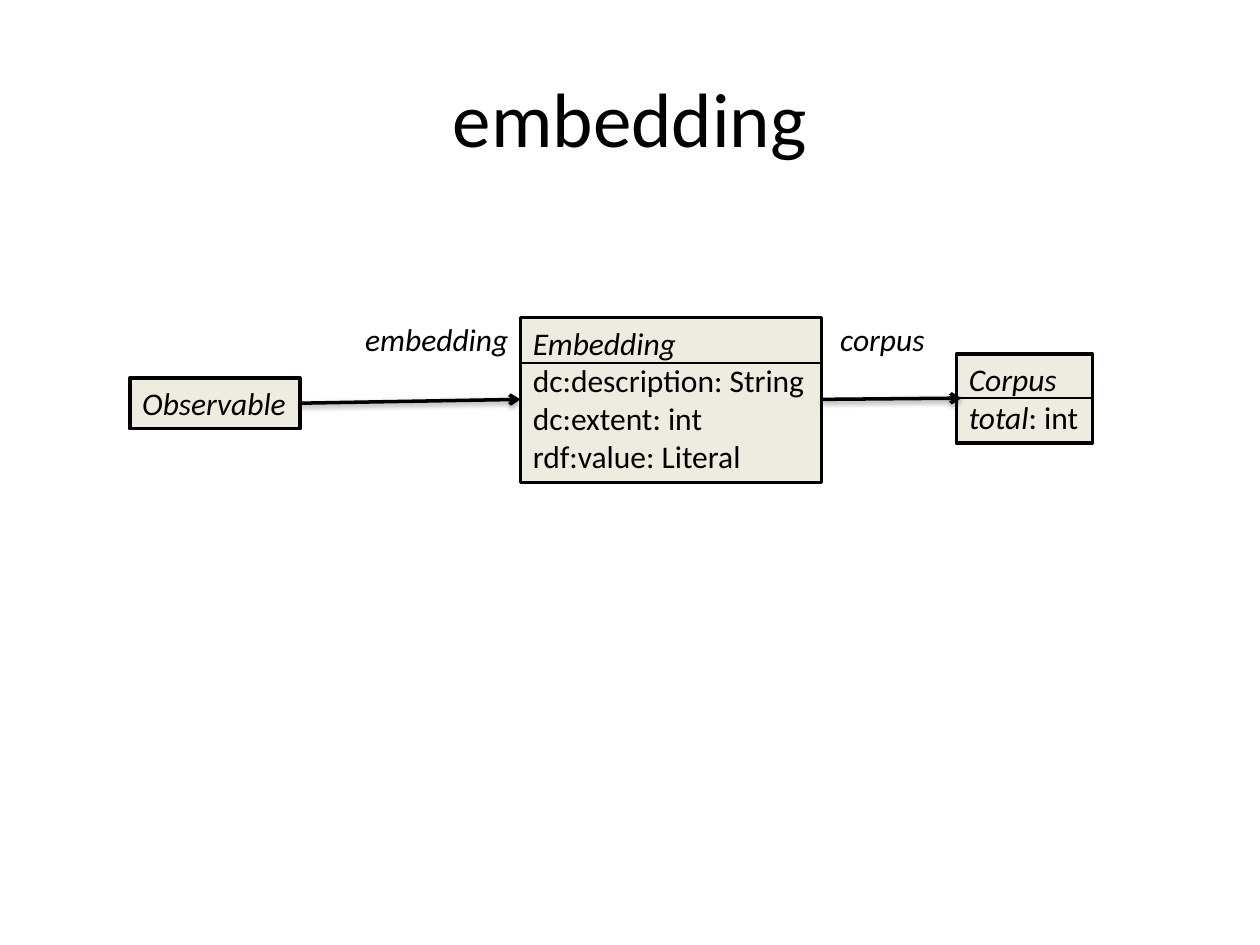
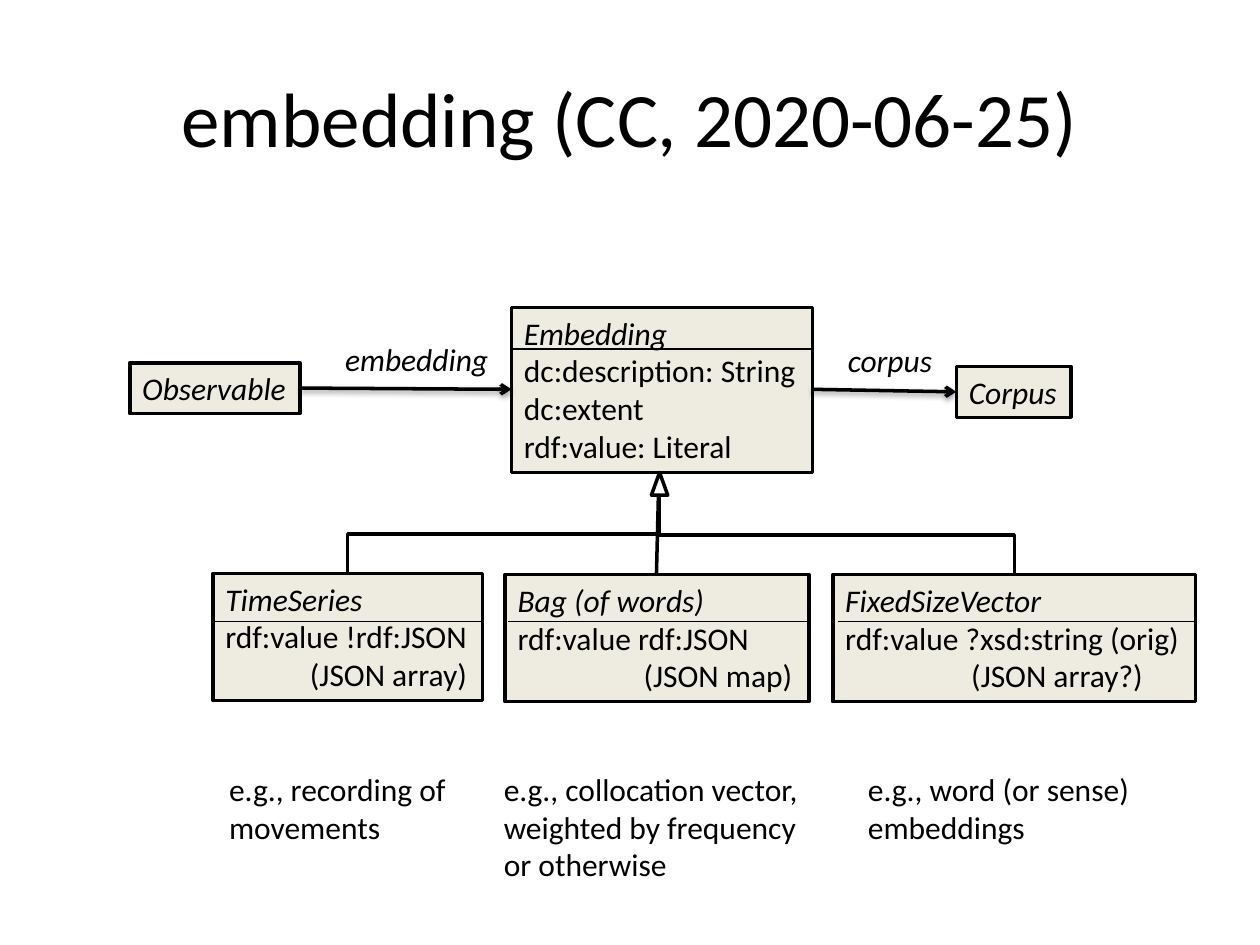
from lxml.etree import SubElement
from pptx import Presentation
from pptx.dml.color import RGBColor
from pptx.enum.shapes import MSO_CONNECTOR, MSO_SHAPE
from pptx.enum.text import MSO_ANCHOR, MSO_AUTO_SIZE, PP_ALIGN
from pptx.oxml.ns import qn
from pptx.util import Inches, Pt

deck = Presentation()
deck.slide_width, deck.slide_height = Inches(10), Inches(7.5)

# The grid: 100 columns by 75 rows of square cells
CELL = deck.slide_width / 100
LINE = 3.03   # rows per line of text
PAD = 1       # rows of margin in a box
TAB = 10      # columns of indent

BLACK, SAND, WHITE = "000000", "EEECE1", "FFFFFF"
FONT = {"name": "Calibri", "size": Pt(18)}
HEAD = {"name": "Calibri", "size": Pt(44)}
FRAME = {"word_wrap": False, "auto_size": MSO_AUTO_SIZE.SHAPE_TO_FIT_TEXT,
         "vertical_anchor": MSO_ANCHOR.TOP}
WEIGHT = {"arrow": 2, "plain": 2, "bent": 2, "rule": 0.75}


def ink(fill, color):
    """Give a fill, of a shape, line or font, one solid hex colour."""
    fill.solid()
    fill.fore_color.rgb = RGBColor.from_string(color)


def put(slide, left, top, width, lines, boxed):
    """Add lines of text, in a sand box or bare; *stars* mark italics."""
    high = PAD + LINE * len(lines)
    place = [round(n * CELL) for n in (left, top, width, high)]
    if boxed:
        shape = slide.shapes.add_shape(MSO_SHAPE.RECTANGLE, *place)
        shape.shadow.inherit = False
        ink(shape.fill, SAND)
        ink(shape.line.fill, BLACK)
        shape.line.width = Pt(2)
    else:
        shape = slide.shapes.add_textbox(*place)
    frame = shape.text_frame
    for key, value in FRAME.items():
        setattr(frame, key, value)
    for row, line in enumerate(lines):
        para = frame.add_paragraph() if row else frame.paragraphs[0]
        # A leading ">" sets the line to the right, a tab indents it
        para.alignment = PP_ALIGN.RIGHT if line[0] == ">" else PP_ALIGN.LEFT
        if line[0] == "\t":
            para._p.get_or_add_pPr().set("marL", str(round(TAB * CELL)))
        for turn, part in enumerate(line.lstrip(">\t").split("*")):
            if part:
                run = para.add_run()
                run.text = part
                for key, value in FONT.items():
                    setattr(run.font, key, value)
                run.font.italic = turn % 2 == 1
                ink(run.font.fill, BLACK)


# Boxes and notes: left, top, width, lines. Wires: kind, from x, y, to x, y.
pages = [
    {
        "title": "embedding",
        "boxes": [
            (10.3, 30, 13.5, ["*Observable*"]),
            (41.3, 25.2, 23.9, ["*Embedding*", "dc:description: String",
                                "dc:extent: int", "rdf:value: Literal"]),
            (75.9, 28.1, 10.8, ["*Corpus*", "*total*: int"]),
        ],
        "notes": [
            (28, 24.9, 13.5, ["*embedding*"]),
            (65.7, 24.9, 8.9, ["*corpus*"]),
        ],
        "wires": [
            ("arrow", 23.8, 32, 41.3, 31.7),
            ("arrow", 65.2, 31.7, 76.3, 31.6),
            ("rule", 41.3, 28.8, 65.2, 28.8),
            ("rule", 75.9, 31.6, 86.7, 31.6),
        ],
        "tips": [],
    },
    {
        "title": "embedding (CC, 2020-06-25)",
        "boxes": [
            (10.3, 28.8, 13.5, ["*Observable*"]),
            (40.6, 24.4, 23.9, ["*Embedding*", "dc:description: String",
                                "dc:extent", "rdf:value: Literal"]),
            (75.9, 29.1, 9.1, ["*Corpus*"]),
            (16.9, 45.5, 21.4, ["*TimeSeries*", "rdf:value !rdf:JSON",
                                ">(JSON array)"]),
            (40.1, 45.6, 24.1, ["*Bag (of words)*", "rdf:value rdf:JSON",
                                "\t(JSON map)"]),
            (66.1, 45.6, 28.8, ["*FixedSizeVector*",
                                "rdf:value ?xsd:string (orig)",
                                "\t(JSON array?)"]),
        ],
        "notes": [
            (26.4, 26.5, 13.5, ["*embedding*"]),
            (66.3, 26.6, 8.9, ["*corpus*"]),
            (17.2, 60.6, 19.4, ["e.g., recording of", "movements"]),
            (39, 60.6, 25.6, ["e.g., collocation vector,",
                              "weighted by frequency", "or otherwise"]),
            (67.9, 60.6, 23, ["e.g., word (or sense)", "embeddings"]),
        ],
        "wires": [
            ("arrow", 23.8, 30.8, 40.6, 30.9),
            ("arrow", 64.4, 30.9, 75.9, 31.1),
            ("rule", 40.6, 27.7, 64.4, 27.7),
            ("bent", 27.6, 45.5, 52.3, 39.3),
            ("bent", 80.5, 45.6, 52.3, 39.3),
            ("plain", 52.1, 45.6, 52.3, 37.5),
            ("rule", 16.9, 49.3, 38.4, 49.3),
            ("rule", 40.3, 49.3, 64.2, 49.3),
            ("rule", 66.5, 49.3, 94.9, 49.3),
        ],
        "tips": [(51.7, 37.5, 1.3, 1.8)],
    },
]

for page in pages:
    slide = deck.slides.add_slide(deck.slide_layouts[5])
    title = slide.shapes.title
    for key, value in {"left": 5, "top": 3, "width": 90, "height": 12.5}.items():
        setattr(title, key, round(value * CELL))
    title.text_frame.text = page["title"]
    title.text_frame.vertical_anchor = MSO_ANCHOR.MIDDLE
    para = title.text_frame.paragraphs[0]
    para.alignment = PP_ALIGN.CENTER
    font = para.runs[0].font
    for key, value in HEAD.items():
        setattr(font, key, value)
    ink(font.fill, BLACK)

    for box in page["boxes"]:
        put(slide, *box, boxed=True)
    for note in page["notes"]:
        put(slide, *note, boxed=False)

    for kind, x1, y1, x2, y2 in page["wires"]:
        form, ends = MSO_CONNECTOR.STRAIGHT, (x1, y1, x2, y2)
        if kind == "bent":
            # Lay the elbow on its side, to be turned upright about its centre
            form, side = MSO_CONNECTOR.ELBOW, 1 if x1 < x2 else -1
            midx, midy = (x1 + x2) / 2, (y1 + y2) / 2
            dx, dy = side * (y1 - midy), side * (midx - x1)
            ends = (midx + dx, midy + dy, midx - dx, midy - dy)
        wire = slide.shapes.add_connector(form, *[round(n * CELL) for n in ends])
        ink(wire.line.fill, BLACK)
        wire.line.width = Pt(WEIGHT[kind])
        props = wire._element.spPr
        if kind == "bent":
            props.find(qn("a:xfrm")).set("rot", str(side * 90 * 60000 % 21600000))
        glow = SubElement(props, qn("a:effectLst"))
        if kind == "arrow":
            SubElement(props.find(qn("a:ln")), qn("a:tailEnd"), type="arrow")
            shade = SubElement(glow, qn("a:outerShdw"), blurRad="40000",
                               dist="20000", dir="5400000", rotWithShape="0")
            tone = SubElement(shade, qn("a:srgbClr"), val=BLACK)
            SubElement(tone, qn("a:alpha"), val="38000")

    for tip in page["tips"]:
        shape = slide.shapes.add_shape(MSO_SHAPE.ISOSCELES_TRIANGLE,
                                       *[round(n * CELL) for n in tip])
        shape.shadow.inherit = False
        ink(shape.fill, WHITE)
        ink(shape.line.fill, BLACK)
        shape.line.width = Pt(2)

deck.save("out.pptx")
